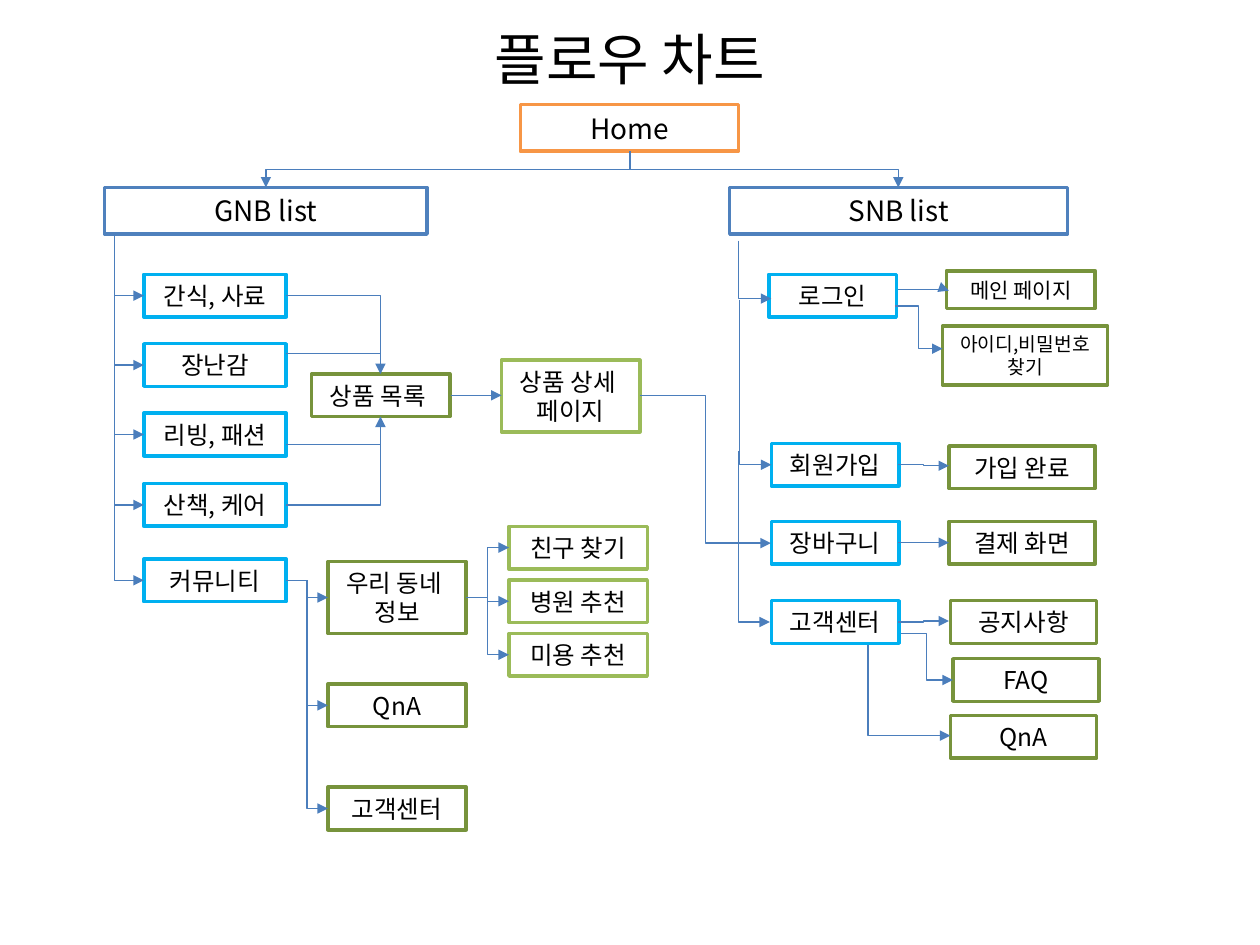
from dataclasses import dataclass

from lxml import etree
from pptx import Presentation
from pptx.dml.color import RGBColor
from pptx.enum import shapes, text
from pptx.oxml import ns
from pptx.util import Cm, Pt


@dataclass(frozen=True)
class Theme:
    font: str = "Noto Sans CJK KR"
    ink: str = "000000"
    paper: str = "FFFFFF"
    home: str = "F79646"
    section: str = "4F81BD"
    menu: str = "00B0F0"
    page: str = "77933C"
    detail: str = "9BBB59"
    link: str = "4B7EBC"
    title_size: int = 32
    section_size: int = 16
    body_size: int = 14
    small_size: int = 12
    tiny_size: int = 11
    border: float = 2
    link_width: float = 0.75


THEME = Theme()
ROW = 0.86
HEADER_ROW = 0.94
TALL_ROW = 1.45
LINK = shapes.MSO_CONNECTOR


def color(value):
    return RGBColor.from_string(value)


def write(frame, lines, size):
    frame.word_wrap = True
    frame.vertical_anchor = text.MSO_ANCHOR.MIDDLE
    for index, line in enumerate(lines):
        paragraph = frame.add_paragraph() if index else frame.paragraphs[0]
        paragraph.alignment = text.PP_ALIGN.CENTER
        run = paragraph.add_run()
        run.text = line
        run.font.size = Pt(size)
        run.font.name = THEME.font
        run.font.color.rgb = color(THEME.ink)
        east_asian = etree.SubElement(run.font._element, ns.qn("a:ea"))
        east_asian.set("typeface", THEME.font)


class Region:
    def __init__(self, slide, box):
        self.shapes = slide.shapes
        self.left, self.top, self.width, self.height = box

    def node(self, lines, left, top, width, outline, height=ROW, size=THEME.body_size):
        shape = self.shapes.add_shape(
            shapes.MSO_SHAPE.RECTANGLE,
            Cm(self.left + left), Cm(self.top + top), Cm(width), Cm(height))
        shape.shadow.inherit = False
        shape.fill.solid()
        shape.fill.fore_color.rgb = color(THEME.paper)
        shape.line.color.rgb = color(outline)
        shape.line.width = Pt(THEME.border)
        frame = shape.text_frame
        frame.margin_top = frame.margin_bottom = 0
        write(frame, lines.split("\n"), size)

    def link(self, start, end, kind=LINK.ELBOW, arrow=True):
        points = [Cm(origin + offset) for point in (start, end)
                  for origin, offset in zip((self.left, self.top), point)]
        connector = self.shapes.add_connector(kind, *points)
        connector.line.color.rgb = color(THEME.link)
        connector.line.width = Pt(THEME.link_width)
        properties = connector._element.spPr
        if arrow:
            tail = etree.SubElement(connector.line._get_or_add_ln(), ns.qn("a:tailEnd"))
            tail.set("type", "triangle")
        etree.SubElement(properties, ns.qn("a:effectLst"))
        return properties

    def corner(self, start, end):
        properties = self.link(start, end)
        properties.find(ns.qn("a:prstGeom")).set("prst", "bentConnector2")
        return properties

    def turned(self, start, end, draw):
        (x1, y1), (x2, y2) = start, end
        across, down = abs(x2 - x1), y2 - y1
        middle_x, middle_y = (x1 + x2) / 2, (y1 + y2) / 2
        properties = draw((middle_x - down / 2, middle_y - across / 2),
                          (middle_x + down / 2, middle_y + across / 2))
        transform = properties.find(ns.qn("a:xfrm"))
        if x2 > x1:
            transform.set("rot", "16200000")
            transform.set("flipH", "1")
        else:
            transform.set("rot", "5400000")

    def drop(self, start, end):
        self.turned(start, end, self.corner)

    def branch(self, start, end):
        self.turned(start, end, self.link)


def build_header(slide, box):
    region = Region(slide, box)
    title = slide.shapes.title
    title.left, title.top = Cm(region.left), Cm(region.top)
    title.width, title.height = Cm(region.width), Cm(1.85)
    write(title.text_frame, ["플로우 차트"], THEME.title_size)
    region.node("Home", 9.22, 1.86, 4.4, THEME.home, HEADER_ROW, THEME.section_size)
    for section_middle in (4.09, 16.84):
        region.branch((11.43, 2.8), (section_middle, 3.53))


def build_gnb(slide, box):
    region = Region(slide, box)
    region.node("GNB list", 0, 0, region.width, THEME.section, HEADER_ROW, THEME.section_size)
    categories = (("간식, 사료", 1.75), ("장난감", 3.15), ("리빙, 패션", 4.55),
                  ("산책, 케어", 5.97), ("커뮤니티", 7.49))
    for name, top in categories:
        middle = top + ROW / 2
        region.node(name, 0.79, top, 2.87, THEME.menu)
        region.drop((0.2, max(HEADER_ROW, middle - 2.65)), (0.79, middle))

    region.node("상품 목록 ", 4.17, 3.76, 2.79, THEME.page)
    region.node("상품 상세 \n페이지", 8, 3.48, 2.79, THEME.detail, TALL_ROW)
    region.corner((3.66, 2.18), (5.56, 3.76))
    region.corner((3.66, 6.4), (5.56, 4.62))
    for level in (3.35, 5.18):
        region.link((3.66, level), (5.56, level), arrow=False)
    region.link((6.98, 4.19), (8, 4.19), LINK.STRAIGHT)

    community = (("우리 동네 \n정보", 7.54, TALL_ROW), ("QnA", 10.01, ROW), ("고객센터", 12.09, ROW))
    for name, top, height in community:
        region.node(name, 4.5, top, 2.79, THEME.page, height)
        region.link((3.66, 7.92), (4.5, top + height / 2))

    for index, name in enumerate(("친구 찾기", "병원 추천", "미용 추천")):
        top = 6.83 + 1.08 * index
        region.node(name, 8.15, top, 2.79, THEME.detail)
        region.link((7.29, 8.26), (8.15, top + ROW / 2))


def build_snb(slide, box):
    region = Region(slide, box)
    region.node("SNB list", 0, 0, region.width, THEME.section, HEADER_ROW, THEME.section_size)
    menus = (("로그인", 0.79, 1.75), ("회원가입", 0.84, 5.16),
             ("장바구니", 0.84, 6.73), ("고객센터", 0.84, 8.33))
    for name, left, top in menus:
        region.node(name, left, top, 2.57, THEME.menu)

    region.node("메인 페이지", 4.37, 1.68, 3, THEME.page, 0.76, THEME.small_size)
    region.node("아이디,비밀번호 찾기", 4.29, 2.79, 3.33, THEME.page, 1.19, THEME.tiny_size)
    pages = (("가입 완료", 4.42, 5.21), ("결제 화면", 4.42, 6.73), ("공지사항", 4.45, 8.33),
             ("FAQ", 4.5, 9.5), ("QnA", 4.45, 10.64))
    for name, left, top in pages:
        region.node(name, left, top, 2.95, THEME.page)

    drops = (((0.18, 1.07), (0.84, 2.24)), ((0.2, 2.26), (0.84, 5.59)),
             ((0.18, 5.31), (0.81, 8.76)), ((2.79, 9.22), (4.45, 11.05)))
    for start, end in drops:
        region.drop(start, end)

    links = (((3.33, 2.39), (4.29, 3.25)), ((3.4, 5.59), (4.42, 5.61)),
             ((3.4, 7.16), (4.42, 7.16)), ((3.4, 8.76), (4.42, 8.74)),
             ((3.45, 8.99), (4.5, 9.93)))
    for start, end in links:
        region.link(start, end)
    main_page_link = region.link((3.4, 2.06), (4.42, 2.08))
    adjustments = main_page_link.find(ns.qn("a:prstGeom")).find(ns.qn("a:avLst"))
    guide = etree.SubElement(adjustments, ns.qn("a:gd"))
    guide.set("name", "adj1")
    guide.set("fmla", "val 106700")


def build_flow_chart(presentation):
    slide = presentation.slides.add_slide(presentation.slide_layouts[5])
    build_header(slide, (1.27, 0.25, 22.86, 3.53))
    build_gnb(slide, (2.11, 3.78, 6.5, 12.95))
    build_snb(slide, (14.71, 3.78, 6.81, 11.5))
    Region(slide, (0, 0, 25.4, 19.05)).link((12.9, 7.98), (15.54, 10.95))


presentation = Presentation()
presentation.slide_width, presentation.slide_height = Cm(25.4), Cm(19.05)
build_flow_chart(presentation)
presentation.save("out.pptx")
